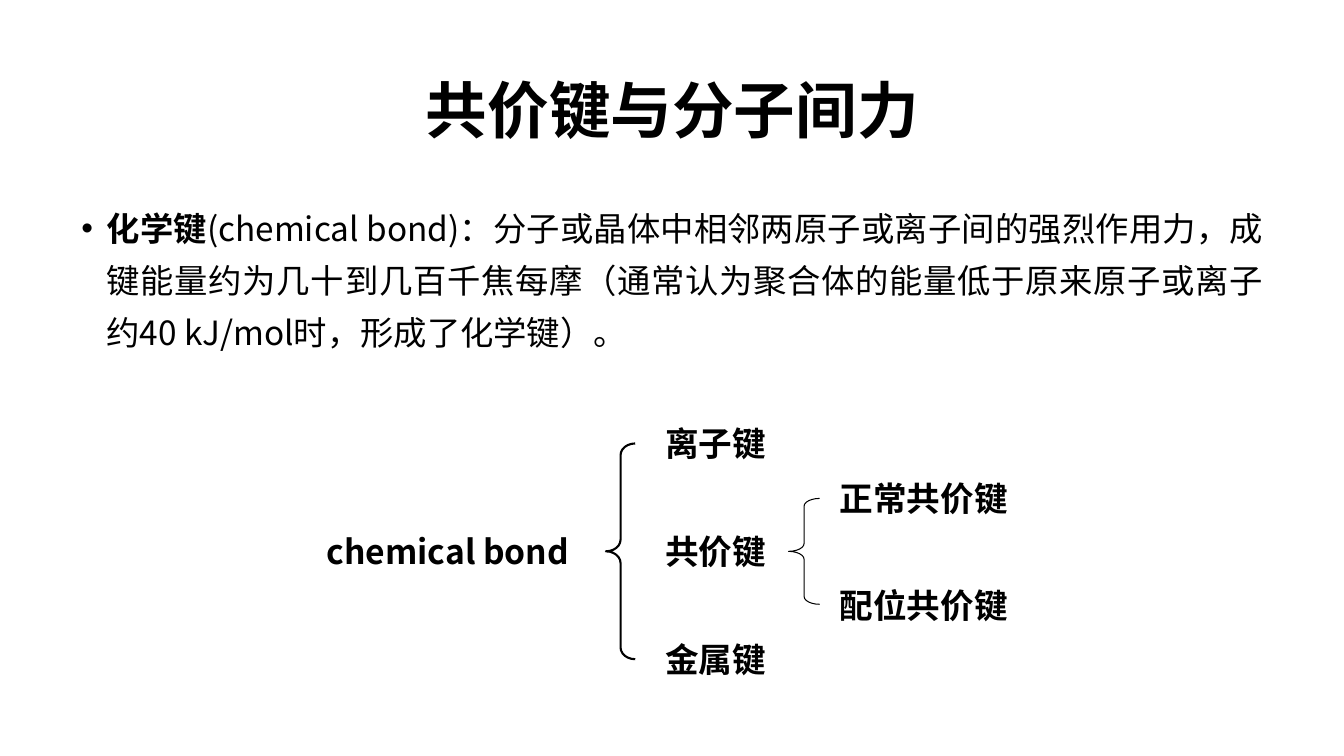
import pptx
import pptx.util
import pptx.dml.color
import pptx.enum.shapes
import pptx.enum.text
import pptx.oxml.ns
import lxml.etree

Inches = pptx.util.Inches
Pt = pptx.util.Pt
FONT = "Noto Sans CJK SC"
BLACK = "000000"


def color(hex_string):
    return pptx.dml.color.RGBColor.from_string(hex_string)


def add_text(left, top, width, height, texts, size, anchor):
    box = slide.shapes.add_textbox(Inches(left), Inches(top), Inches(width), Inches(height))
    frame = box.text_frame
    frame.word_wrap = True
    frame.vertical_anchor = anchor
    paragraph = frame.paragraphs[0]
    for index, text in enumerate(texts):
        run = paragraph.add_run()
        run.text = text
        run.font.size = Pt(size)
        run.font.bold = index == 0
        run.font.name = FONT
        run.font.color.rgb = color(BLACK)
        east_asian = lxml.etree.SubElement(run.font._element, pptx.oxml.ns.qn("a:ea"))
        east_asian.set("typeface", FONT)
    return paragraph


presentation = pptx.Presentation()
presentation.slide_width = Inches(13.33)
presentation.slide_height = Inches(7.5)
slide = presentation.slides.add_slide(presentation.slide_layouts[6])

TOP = pptx.enum.text.MSO_ANCHOR.TOP
MIDDLE = pptx.enum.text.MSO_ANCHOR.MIDDLE

title = add_text(0.92, 0.4, 11.5, 1.45, ["共价键与分子间力"], 44, MIDDLE)
title.alignment = pptx.enum.text.PP_ALIGN.CENTER
title.line_spacing = 0.9

definition = add_text(0.71, 1.9, 11.92, 1.73, [
    "化学键",
    "(chemical bond)：分子或晶体中相邻两原子或离子间的强烈作用力，"
    "成键能量约为几十到几百千焦每摩（通常认为聚合体的能量低于原来原子或离子约"
    "40 kJ/mol时，形成了化学键）。",
], 23.8, TOP)
definition.alignment = pptx.enum.text.PP_ALIGN.JUSTIFY
definition.line_spacing = 1.3
properties = definition._p.get_or_add_pPr()
properties.set("marL", str(Inches(0.25)))
properties.set("indent", str(-Inches(0.25)))
bullet_font = lxml.etree.SubElement(properties, pptx.oxml.ns.qn("a:buFont"))
bullet_font.set("typeface", "Arial")
bullet = lxml.etree.SubElement(properties, pptx.oxml.ns.qn("a:buChar"))
bullet.set("char", "•")

tree_middle = 5.47
label_height = 0.5
levels = [
    (3.14, 2.67, 0, ["chemical bond"]),
    (6.5, 1.31, 1.07, ["离子键", "共价键", "金属键"]),
    (8.23, 1.97, 1.06, ["正常共价键", "配位共价键"]),
]
for left, width, pitch, labels in levels:
    first_middle = tree_middle - pitch * (len(labels) - 1) / 2
    for row, label in enumerate(labels):
        top = first_middle + row * pitch - label_height / 2
        add_text(left, top, width, label_height, [label], 24, MIDDLE)

braces = [(6.01, 0.29, 2.14, 0.4, 1.5), (7.82, 0.31, 1.05, 0.25, 0.75)]
for left, width, height, curve, weight in braces:
    brace = slide.shapes.add_shape(
        pptx.enum.shapes.MSO_SHAPE.LEFT_BRACE,
        Inches(left), Inches(tree_middle - height / 2), Inches(width), Inches(height))
    brace.adjustments[0] = curve
    brace.adjustments[1] = 0.5
    brace.shadow.inherit = False
    brace.fill.background()
    brace.line.color.rgb = color(BLACK)
    brace.line.width = Pt(weight)

presentation.save("out.pptx")
